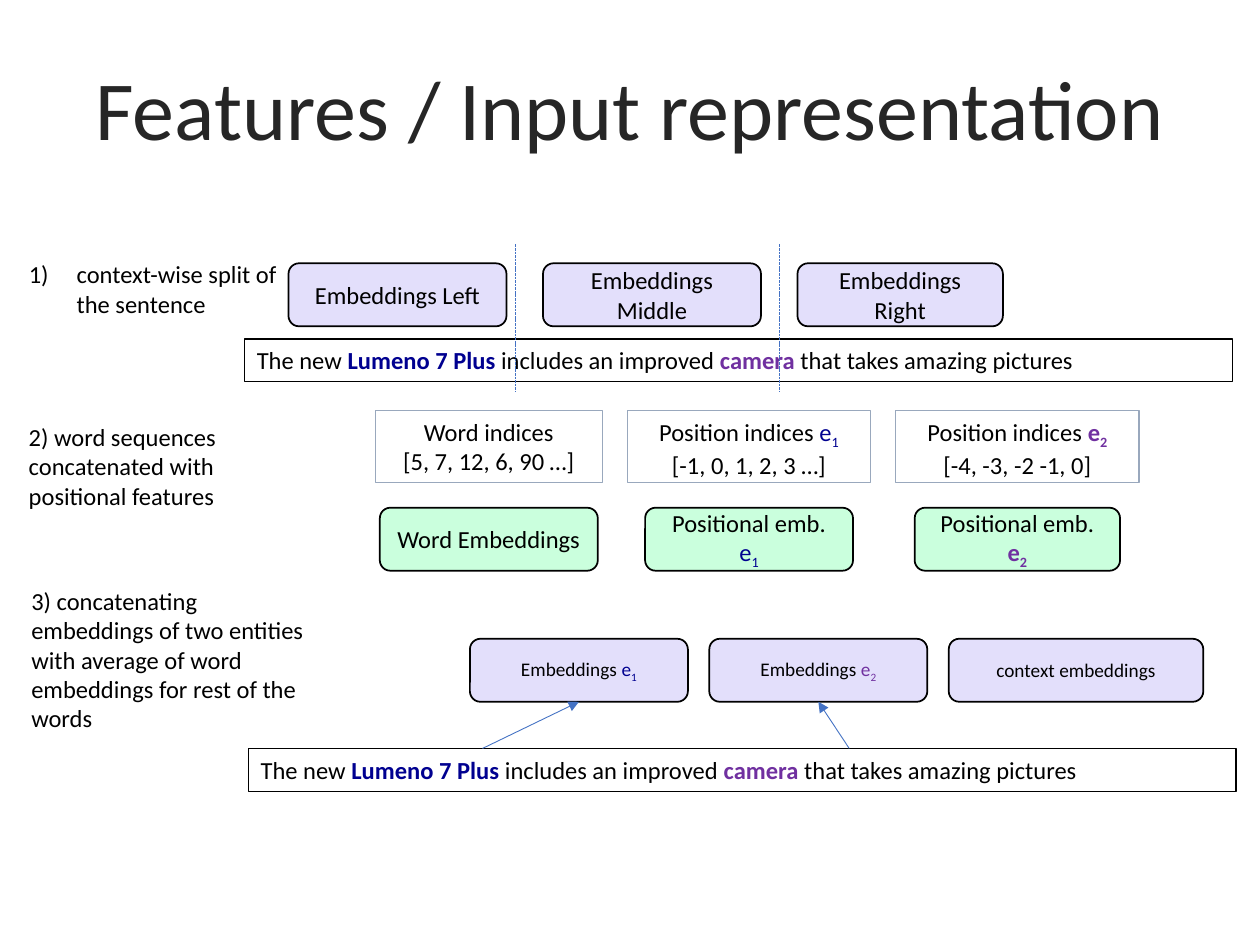
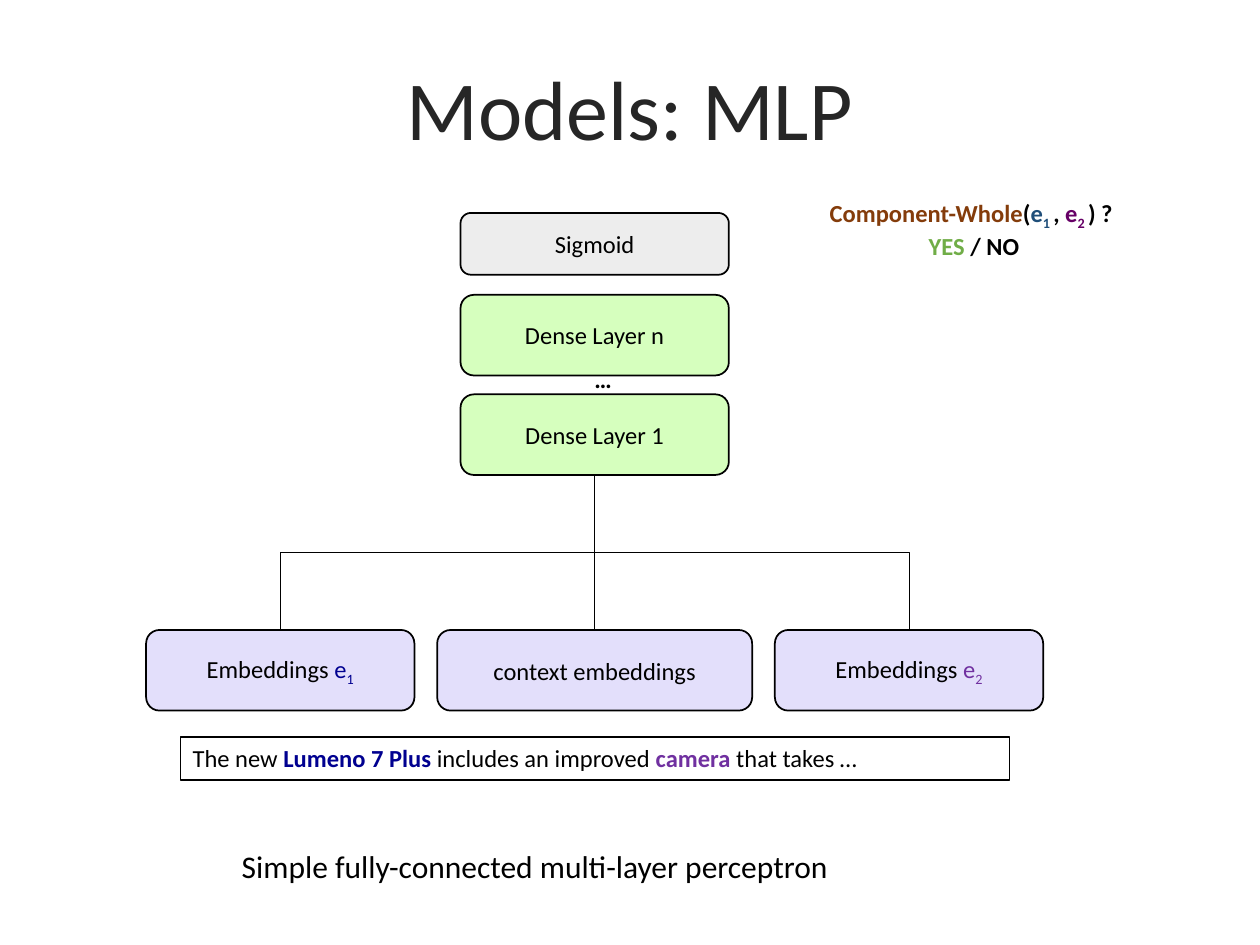
import pptx
import pptx.util
import pptx.dml.color
import pptx.enum.dml
import pptx.enum.shapes
import pptx.enum.text
import pptx.oxml.ns
from lxml import etree

RGB = pptx.dml.color.RGBColor
SHAPE = pptx.enum.shapes.MSO_SHAPE
CONNECTOR = pptx.enum.shapes.MSO_CONNECTOR
ALIGN = pptx.enum.text.PP_ALIGN
ANCHOR = pptx.enum.text.MSO_ANCHOR
DASH = pptx.enum.dml.MSO_LINE
Inches, Pt, qn = pptx.util.Inches, pptx.util.Pt, pptx.oxml.ns.qn

# Shared look
W, H = 10, 7.5
FONT = "Calibri"
BODY, SMALL, CAPTION, TITLE = 14, 11, 18, 48
BLACK = RGB(0x00, 0x00, 0x00)
INK = RGB(0x26, 0x26, 0x26)
NAVY = RGB(0x00, 0x00, 0x90)
PURPLE = RGB(0x70, 0x30, 0xA0)
BROWN = RGB(0x84, 0x3C, 0x0B)
STEEL = RGB(0x1F, 0x4E, 0x79)
PLUM = RGB(0x66, 0x00, 0x66)
GREEN = RGB(0x70, 0xAD, 0x47)
BLUE = RGB(0x44, 0x72, 0xC4)
GREY_BLUE = RGB(0x99, 0xA8, 0xBD)
LILAC = RGB(0xE3, 0xDF, 0xFB)
MINT = RGB(0xCA, 0xFF, 0xDD)
LIME = RGB(0xD6, 0xFF, 0xBE)
PALE = RGB(0xED, 0xED, 0xED)


# Content: a paragraph is a list of runs (text, colour, bold, subscript)
def run(text, colour=BLACK, bold=False, sub=False):
    return text, colour, bold, sub


def entity(number, colour, bold=False):
    return [run("e", colour, bold), run(number, colour, bold, True)]


def sentence(ending):
    return [run("The new "), run("Lumeno 7 Plus ", NAVY, True),
            run("includes an improved "), run("camera ", PURPLE, True), run(ending)]


E1, E2, E2_BOLD = entity("1", NAVY), entity("2", PURPLE), entity("2", PURPLE, True)
EMB_E1, EMB_E2 = [run("Embeddings ")] + E1, [run("Embeddings ")] + E2
CONTEXT = [run("context embeddings")]

SPLIT_PARTS = [[run("Embeddings " + side)] for side in ("Left", "Middle", "Right")]
INDICES = [
    ([run("Word indices")], [run("[5, 7, 12, 6, 90 …]")]),
    ([run("Position indices ")] + E1, [run("[-1, 0, 1, 2, 3 …]")]),
    ([run("Position indices ")] + E2_BOLD, [run("[-4, -3, -2 -1, 0]")]),
]
INDEX_EMBEDDINGS = [
    [run("Word Embeddings")],
    [run("Positional emb. ")] + E1,
    [run("Positional emb. ")] + E2_BOLD,
]
STEPS = [  # left, top, width, height, text, numbered
    (0.13, 2.01, 2.39, 0.57, "context-wise split of the sentence", True),
    (0.13, 3.3, 2.4, 0.81, "2) word sequences concatenated with positional features", False),
    (0.15, 4.6, 2.36, 1.28, "3) concatenating embeddings of two entities with average "
     "of word embeddings for rest of the words", False),
]
QUESTION = [
    [run("Component-Whole", BROWN, True), run("(", BLACK, True),
     run("e", STEEL, True), run("1 ", STEEL, True, True), run(", ", BLACK, True),
     run("e", PLUM, True), run("2 ", PLUM, True, True), run(") ? ", BLACK, True)],
    [run("YES", GREEN, True), run(" / NO", BLACK, True)],
]
LAYERS = [  # label, top, height, fill
    ("Sigmoid", 1.69, 0.49, PALE),
    ("Dense Layer n", 2.34, 0.64, LIME),
    ("Dense Layer 1", 3.13, 0.64, LIME),
]


# Drawing helpers
def write(sp, paragraphs, size=BODY, align=ALIGN.LEFT, anchor=ANCHOR.TOP, wrap=True):
    tf = sp.text_frame
    tf.word_wrap, tf.vertical_anchor = wrap, anchor
    for i, runs in enumerate(paragraphs):
        p = tf.add_paragraph() if i else tf.paragraphs[0]
        p.alignment = align
        for text, colour, bold, sub in runs:
            r = p.add_run()
            r.text = text
            r.font.name, r.font.size, r.font.bold = FONT, Pt(size), bold
            r.font.color.rgb = colour
            if sub:
                r.font._element.set("baseline", "-25000")


def textbox(s, at, paragraphs, **style):
    sp = s.shapes.add_textbox(*map(Inches, at))
    write(sp, paragraphs, **style)
    return sp


def box(s, at, paragraphs, fill=None, line=BLACK, align=ALIGN.CENTER, size=BODY):
    """A filled box is rounded with centred text; an unfilled one is a plain frame."""
    kind = SHAPE.ROUNDED_RECTANGLE if fill else SHAPE.RECTANGLE
    sp = s.shapes.add_shape(kind, *map(Inches, at))
    sp.shadow.inherit = False
    if fill:
        sp.fill.solid()
        sp.fill.fore_color.rgb = fill
    else:
        sp.fill.background()
    sp.line.color.rgb = line
    sp.line.width = Pt(1 if fill else 0.75)
    write(sp, paragraphs, size, align, ANCHOR.MIDDLE if fill else ANCHOR.TOP)


def connect(s, start, end, colour, kind=CONNECTOR.STRAIGHT, dashed=False, arrow=False):
    c = s.shapes.add_connector(kind, *map(Inches, start + end))
    c.line.color.rgb, c.line.width = colour, Pt(0.5)
    if dashed:
        c.line.dash_style = DASH.SQUARE_DOT
    if arrow:
        etree.SubElement(c.line._get_or_add_ln(), qn("a:tailEnd"), type="triangle")
    etree.SubElement(c._element.spPr, qn("a:effectLst"))
    return c


def branch(s, start, end):
    """Elbow that leaves and arrives vertically: a turned horizontal elbow."""
    (x0, y0), (x1, y1) = start, end
    cx, cy = (x0 + x1) / 2, (y0 + y1) / 2
    side = 1 if x1 > x0 else -1
    dx, dy = side * (y1 - y0) / 2, abs(x1 - x0) / 2
    c = connect(s, (cx + dx, cy - dy), (cx - dx, cy + dy), BLACK, CONNECTOR.ELBOW)
    c._element.spPr.find(qn("a:xfrm")).set("rot", str((180 + 90 * side) * 60000))


def row(left, widths, gap):
    """Left edge and width of boxes set side by side with equal gaps."""
    cells = []
    for width in widths:
        cells.append((left, width))
        left += width + gap
    return cells


def centre(cell):
    return cell[0] + cell[1] / 2


def titled_slide(prs, title):
    s = prs.slides.add_slide(prs.slide_layouts[6])
    textbox(s, (0.06 * W, 0.2, 0.88 * W, 1.3), [[run(title, INK)]],
            size=TITLE, align=ALIGN.CENTER, anchor=ANCHOR.MIDDLE)
    return s


def features_slide(prs):
    s = titled_slide(prs, "Features / Input representation")
    box_h, sentence_tops = 0.5, (2.69, 5.94)

    # Left column of steps
    for left, top, width, height, text, numbered in STEPS:
        sp = textbox(s, (left, top, width, height), [[run(text)]])
        if numbered:
            pPr = sp.text_frame.paragraphs[0]._p.get_or_add_pPr()
            pPr.set("marL", str(Inches(0.38)))
            pPr.set("indent", str(-Inches(0.38)))
            etree.SubElement(pPr, qn("a:buFont"), typeface="+mj-lt")
            etree.SubElement(pPr, qn("a:buAutoNum"), type="arabicParenR")

    # Example sentences
    for left, top in zip((1.94, 1.97), sentence_tops):
        box(s, (left, top, 7.84, 0.34), [sentence("that takes amazing pictures")],
            align=ALIGN.JUSTIFY)

    # Step 1: three parts of the sentence
    for (left, width), runs in zip(row(2.29, (1.73, 1.73, 1.63), 0.29), SPLIT_PARTS):
        box(s, (left, 2.09, width, box_h), [runs], LILAC)
    for x in (4.09, 6.19):
        connect(s, (x, 1.94), (x, 3.11), BLUE, dashed=True)

    # Step 2: indices, each with its embedding centred below
    index_cells = row(2.98, (1.8, 1.93, 1.93), 0.2)
    for cell, lines, runs, width in zip(index_cells, INDICES, INDEX_EMBEDDINGS,
                                        (1.73, 1.65, 1.63)):
        box(s, (cell[0], 3.26, cell[1], 0.57), lines, line=GREY_BLUE)
        box(s, (centre(cell) - width / 2, 4.03, width, box_h), [runs], MINT)

    # Step 3: entity and context embeddings
    cells, top = row(3.73, (1.73, 1.73, 2.02), 0.17), 5.07
    for (left, width), runs in zip(cells, (EMB_E1, EMB_E2, CONTEXT)):
        box(s, (left, top, width, box_h), [runs], LILAC, size=SMALL)
    for x, cell in zip((3.83, 6.74), cells):
        connect(s, (x, sentence_tops[1]), (centre(cell), top + box_h), BLUE, arrow=True)


def mlp_slide(prs):
    s = titled_slide(prs, "Models: MLP")
    box_w, box_h, axis, inputs_top = 2.13, 0.64, 4.72, 5

    # Layer stack
    for label, top, height, fill in LAYERS:
        box(s, (axis - box_w / 2, top, box_w, height), [[run(label)]], fill)
    textbox(s, (4.62, 2.84, 0.47, 0.34), [[run("…", bold=True)]])

    # Inputs and the lines that join them to the lowest layer
    cells = row(1.16, (box_w, 2.5, box_w), 0.18)
    for (left, width), runs in zip(cells, (EMB_E1, CONTEXT, EMB_E2)):
        box(s, (left, inputs_top, width, box_h), [runs], LILAC)
    stem = (axis, LAYERS[-1][1] + box_h)
    connect(s, stem, (axis, inputs_top), BLACK)
    for cell in (cells[0], cells[-1]):
        branch(s, stem, (centre(cell), inputs_top))

    # Sentence, question and caption
    box(s, (1.43, 5.85, 6.58, 0.34), [sentence("that takes …")], align=ALIGN.JUSTIFY)
    textbox(s, (6.28, 1.52, 2.9, 0.81), QUESTION, align=ALIGN.CENTER)
    textbox(s, (1.82, 6.67, 5.81, 0.4),
            [[run("Simple fully-connected multi-layer perceptron")]],
            size=CAPTION, wrap=False)


def main():
    prs = pptx.Presentation()
    prs.slide_width, prs.slide_height = Inches(W), Inches(H)
    features_slide(prs)
    mlp_slide(prs)
    prs.save("out.pptx")


if __name__ == "__main__":
    main()
